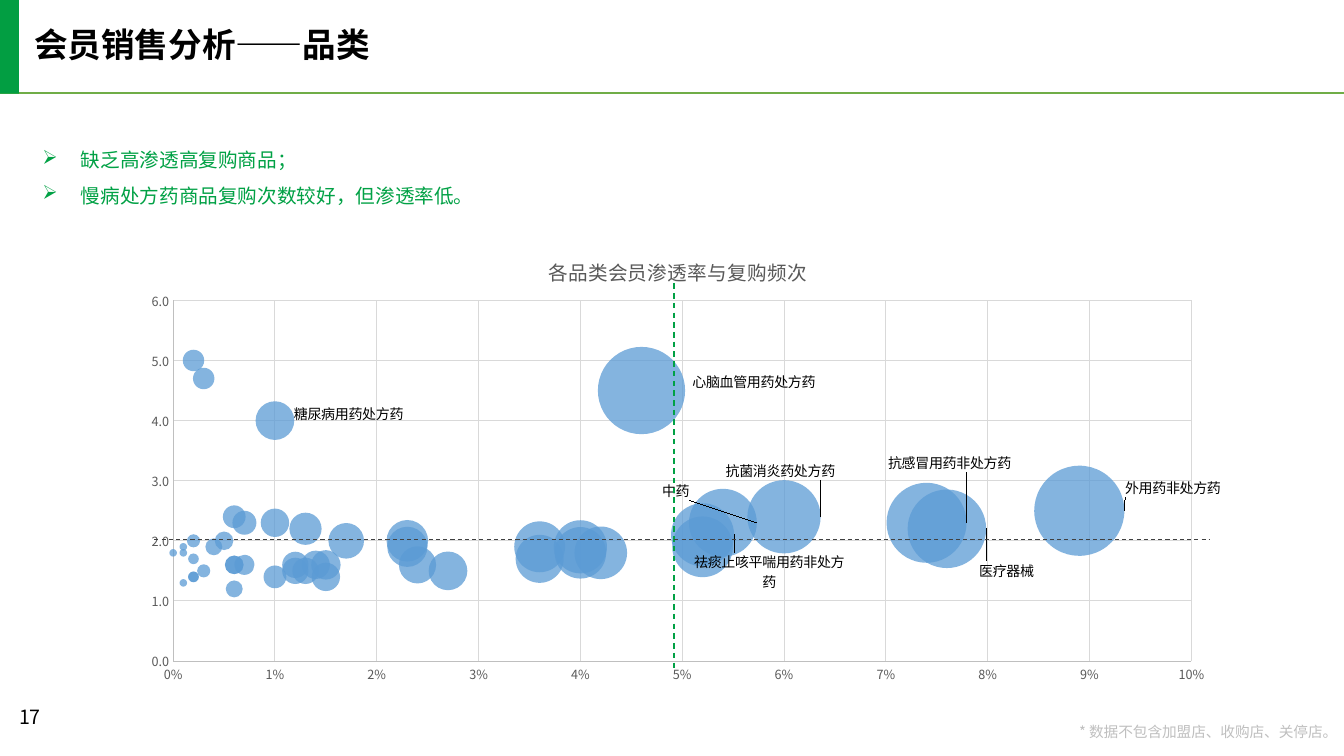
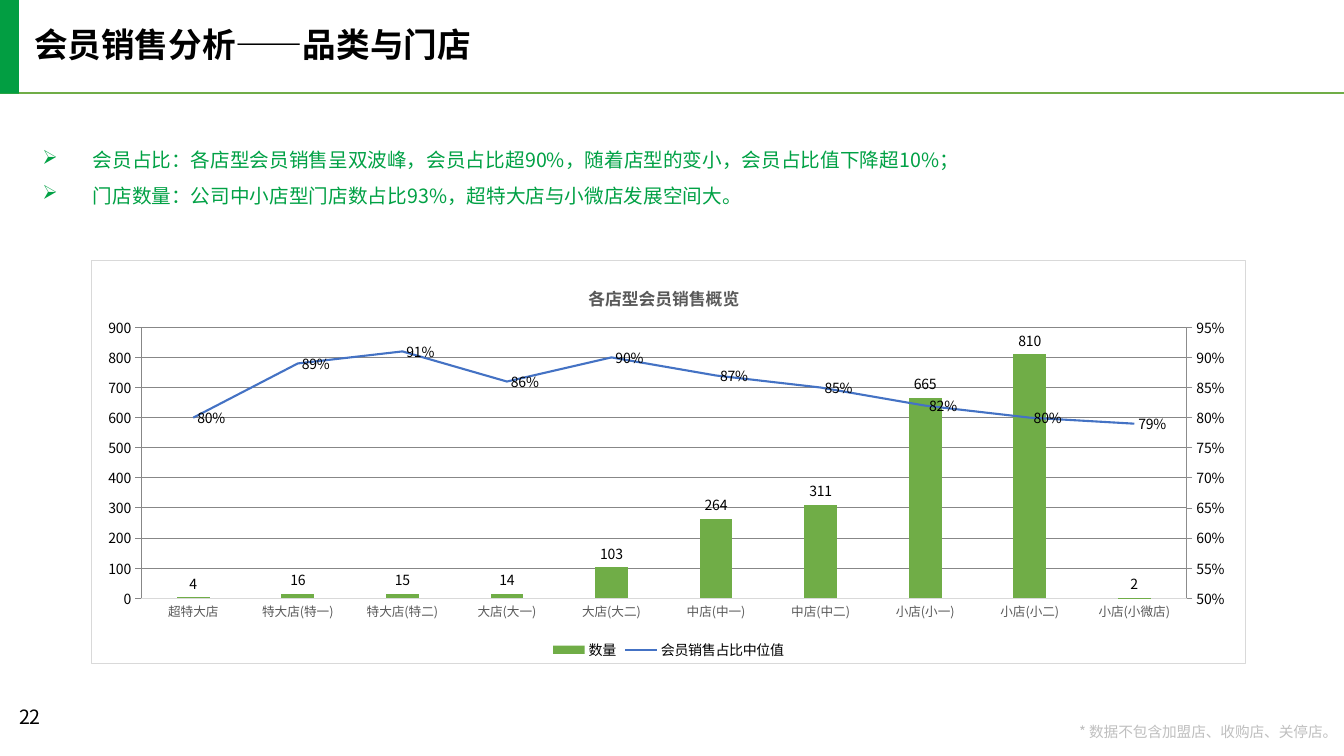
from pptx import Presentation
from pptx.chart.axis import ValueAxis
from pptx.chart.data import BubbleChartData, CategoryChartData
from pptx.chart.datalabel import DataLabels
from pptx.dml.color import RGBColor
from pptx.enum.chart import XL_CHART_TYPE as Kind, XL_LABEL_POSITION as Spot
from pptx.enum.chart import XL_LEGEND_POSITION as Side, XL_TICK_MARK as Tick
from pptx.enum.chart import XL_MARKER_STYLE as Marker
from pptx.enum.dml import MSO_LINE
from pptx.enum.shapes import MSO_CONNECTOR, MSO_SHAPE
from pptx.enum.text import MSO_ANCHOR as Anchor, PP_ALIGN as Align
from pptx.oxml import parse_xml
from pptx.oxml.ns import nsdecls, qn
from pptx.util import Cm, Pt

FACE = "Noto Sans CJK SC"
WIDE, HIGH = 33.87, 19.05
BLACK, GREY, PALE, AXIS = "000000", "595959", "BFBFBF", "D9D9D9"
GREEN, BAND, LEAF, BLUE, SKY = "01A145", "029E42", "70AD47", "4472C4", "5B9BD5"
NOTE = "* 数据不包含加盟店、收购店、关停店。"

# penetration (tenths of a percent), repeat purchases, sales (hundred thousands)
GOODS = [
    (12, 1.5, 12), (54, 2.3, 80), (15, 1.4, 14), (40, 1.8, 46), (42, 1.8, 48),
    (14, 1.6, 14), (6, 1.2, 5), (0, 1.1, 0), (6, 2.4, 9), (0, 1.5, 0),
    (76, 2.2, 107), (36, 1.7, 40), (89, 2.5, 141), (6, 1.6, 6), (15, 1.6, 15),
    (46, 4.5, 132), (0, 1.8, 1), (6, 1.6, 6), (74, 2.3, 111), (2, 1.7, 2),
    (10, 1.4, 9), (60, 2.4, 93), (0, 1.2, 0), (24, 1.6, 24), (7, 1.6, 7),
    (3, 1.5, 3), (10, 2.3, 14), (1, 1.3, 1), (3, 4.7, 8), (0, 1.2, 0),
    (27, 1.5, 26), (12, 1.6, 12), (52, 1.9, 64), (2, 2, 3), (0, 2.5, 0),
    (1, 1.8, 1), (2, 1.4, 2), (13, 2.2, 18), (52, 2.1, 69), (2, 5, 8),
    (0, 2.2, 0), (10, 4, 26), (0, 2.1, 0), (4, 1.9, 5), (36, 1.9, 45),
    (7, 2.3, 10), (1, 1.9, 1), (23, 2, 30), (40, 1.9, 49), (0, 1.3, 0),
    (2, 1.4, 2), (5, 2, 6), (23, 1.9, 28), (17, 2, 22), (13, 1.5, 12),
]
# point: label, shift as a share of the chart's width and height
TAGS = {
    1: ("中药", -0.09, -0.07),
    10: ("医疗器械", -0.01, 0.09),
    12: ("外用药非处方药", -0.003, -0.05),
    15: ("心脑血管用药处方药", 0.003, -0.02),
    18: ("抗感冒用药非处方药", -0.075, -0.13),
    21: ("抗菌消炎药处方药", -0.09, -0.1),
    38: ("祛痰止咳平喘用药非处方药", -0.04, 0.08),
    41: ("糖尿病用药处方药", -0.004, -0.015),
}
SHOPS = ["超特大店", "特大店(特一)", "特大店(特二)", "大店(大一)", "大店(大二)",
         "中店(中一)", "中店(中二)", "小店(小一)", "小店(小二)", "小店(小微店)"]
COUNT = [4, 16, 15, 14, 103, 264, 311, 665, 810, 2]
SHARE = [0.8, 0.89, 0.91, 0.86, 0.9, 0.87, 0.85, 0.82, 0.8, 0.79]


def rgb(code):
    return RGBColor.from_string(code)


def put(obj, **vals):
    for key, val in vals.items():
        setattr(obj, key, val)


def style(font, size, color=BLACK, bold=False):
    put(font, size=Pt(size), bold=bold, name=FACE)
    font.color.rgb = rgb(color)


def stroke(line, color, width):
    line.color.rgb = rgb(color)
    line.width = Pt(width)


def paint(fill, color):
    fill.solid()
    fill.fore_color.rgb = rgb(color)


def write(slide, box, lines, size, color=BLACK, bold=False, pad=0,
          anchor=Anchor.TOP, **para):
    frame = slide.shapes.add_textbox(*map(Cm, box)).text_frame
    put(frame, word_wrap=True, vertical_anchor=anchor)
    if not pad:
        put(frame, margin_left=0, margin_right=0, margin_top=0, margin_bottom=0)
    frame.text = "\n".join(lines)
    for par in frame.paragraphs:
        put(par, **para)
        style(par.runs[0].font, size, color, bold)
    return frame


def rule(slide, ends, color, width, dash=None):
    line = slide.shapes.add_connector(MSO_CONNECTOR.STRAIGHT, *map(Cm, ends))
    stroke(line.line, color, width)
    line.line.dash_style = dash
    line._element.spPr.append(parse_xml(f"<a:effectLst {nsdecls('a')}/>"))


def bullets(slide, box, lines, indent):
    frame = write(slide, box, lines, 14, GREEN, anchor=Anchor.MIDDLE,
                  line_spacing=1.5)
    for par in frame.paragraphs:
        props = par._p.get_or_add_pPr()
        props.set("marL", str(Cm(indent)))
        props.set("indent", str(-Cm(indent)))
        props.append(parse_xml(f'<a:buChar {nsdecls("a")} char="➢"/>'))


def base(deck, title, number, lines, indent):
    """Add a slide with the shared title band, footer and bullet list."""
    slide = deck.slides.add_slide(deck.slide_layouts[6])
    rule(slide, (0, 2.34, WIDE, 2.34), LEAF, 1.5)
    write(slide, (0.86, 0.71, 15.98, 0.91), [title], 24, bold=True,
          line_spacing=0.9)
    band = slide.shapes.add_shape(MSO_SHAPE.RECTANGLE, *map(Cm, (0, 0, 0.48, 2.36)))
    band.shadow.inherit = False
    paint(band.fill, BAND)
    band.line.fill.background()
    note = write(slide, (27.08, 18.26, 6.63, 0.41), [NOTE], 10.5, PALE,
                 line_spacing=0.9, alignment=Align.RIGHT)
    note.word_wrap = False
    write(slide, (0.23, 17.65, 2.31, 1.02), [number], 14, pad=1)
    bullets(slide, (1.07, 3.43, 31.67, 1.8), lines, indent)
    return slide


def layout(x, y, w=None, h=None, inner=False, edge=True):
    """Build a manual layout, in shares of the chart's size."""
    items = [("layoutTarget", "inner")] if inner else []
    items += [("xMode", "edge"), ("yMode", "edge")] if edge else []
    items += [("x", x), ("y", y)]
    items += [("w", w), ("h", h)] if w else []
    body = "".join(f'<c:{key} val="{val}"/>' for key, val in items)
    return parse_xml(f"<c:layout {nsdecls('c')}><c:manualLayout>{body}"
                     "</c:manualLayout></c:layout>")


def swap(parent, item, index):
    for old in parent.findall(qn("c:layout")):
        parent.remove(old)
    parent.insert(index, item)


def plot(slide, box, kind, data, title, size, bold, head, area):
    """Add a chart with its title at head and its plot filling area."""
    chart = slide.shapes.add_chart(kind, *map(Cm, box), data).chart
    style(chart.font, 10)
    put(chart, has_legend=False, has_title=True)
    text = chart.chart_title.text_frame
    text.text = title
    style(text.paragraphs[0].runs[0].font, size, GREY, bold)
    swap(chart.chart_title._element, layout(*head), 1)
    swap(chart.element.find(".//" + qn("c:plotArea")),
         layout(*area, inner=True), 0)
    return chart


def scale(axis, line=None, grid=True, size=9, color=GREY, tick=Tick.NONE,
          width=0.75, form=None, **span):
    put(axis, major_tick_mark=tick, minor_tick_mark=Tick.NONE,
        has_major_gridlines=grid, **span)
    style(axis.tick_labels.font, size, color)
    if form:
        put(axis.tick_labels, number_format=form, number_format_is_linked=False)
    if grid:
        stroke(axis.major_gridlines.format.line, AXIS, 0.75)
    if line:
        stroke(axis.format.line, line, width)
    else:
        axis.format.line.fill.background()


def tag(series):
    """Label chosen bubbles, with leader lines."""
    for spot, (name, dx, dy) in TAGS.items():
        label = series.points[spot].data_label
        label.text_frame.text = name
        style(label.text_frame.paragraphs[0].runs[0].font, 10)
        label.position = Spot.RIGHT
        swap(label._get_or_add_dLbl(), layout(dx, dy, edge=False), 1)
    group = series._element.get_or_add_dLbls()
    DataLabels(group).show_value = False
    group.append(parse_xml(
        f'<c:extLst {nsdecls("c")}>'
        '<c:ext uri="{CE6537A1-D6FC-4f65-9D91-7224C49458BB}" '
        'xmlns:c15="http://schemas.microsoft.com/office/drawing/2012/chart">'
        '<c15:showLeaderLines val="1"/></c:ext></c:extLst>'))


def bubbles(slide, box):
    data = BubbleChartData()
    goods = data.add_series("品类")
    for rate, freq, sales in GOODS:
        goods.add_data_point(rate / 1000, freq, sales * 100000)
    chart = plot(slide, box, Kind.BUBBLE, data, "各品类会员渗透率与复购频次",
                 14, False, (0.38, 0.05), (0.042, 0.156, 0.926, 0.775))
    scale(chart.category_axis, PALE, form="0%", minimum_scale=0,
          maximum_scale=0.1, major_unit=0.01)
    scale(chart.value_axis, PALE, form="0.0", minimum_scale=0,
          maximum_scale=6, major_unit=1)
    series = chart.plots[0].series[0]
    paint(series.format.fill, SKY)
    tint = series._element.find(".//" + qn("a:srgbClr"))
    tint.append(parse_xml(f'<a:alpha {nsdecls("a")} val="75000"/>'))
    series.format.line.fill.background()
    tag(series)
    x, y = box[:2]
    rule(slide, (x + 13.79, y + 1.4, x + 13.79, y + 11.1), GREEN, 1, MSO_LINE.DASH)
    rule(slide, (x + 0.69, y + 7.85, x + 27.28, y + 7.85), "404040", 0.75,
         MSO_LINE.DASH)


def split(chart):
    """Move the second series to a line on a right-hand axis, and return the axis."""
    bars = chart.element.find(".//" + qn("c:barChart"))
    series = bars.findall(qn("c:ser"))[1]
    for flip in series.findall(qn("c:invertIfNegative")):
        series.remove(flip)
    line = parse_xml(
        f'<c:lineChart {nsdecls("c")}><c:grouping val="standard"/>'
        '<c:varyColors val="0"/><c:marker val="1"/>'
        '<c:axId val="501"/><c:axId val="502"/></c:lineChart>')
    line.insert(2, series)
    bars.addnext(line)

    def axis(kind, own, other, gone, side, cross):
        return parse_xml(
            f'<c:{kind} {nsdecls("c")}><c:axId val="{own}"/><c:scaling>'
            f'<c:orientation val="minMax"/></c:scaling><c:delete val="{gone}"/>'
            f'<c:axPos val="{side}"/><c:tickLblPos val="nextTo"/>'
            f'<c:crossAx val="{other}"/><c:crosses val="{cross}"/></c:{kind}>')

    right = axis("valAx", 502, 501, 0, "r", "max")
    area = bars.getparent()
    area.findall(qn("c:valAx"))[-1].addnext(right)
    right.addnext(axis("catAx", 501, 502, 1, "b", "autoZero"))
    return ValueAxis(right)


def mark(series, form, spot):
    labels = series.data_labels
    put(labels, show_value=True, number_format=form,
        number_format_is_linked=False, position=spot)
    style(labels.font, 10)


def combo(slide, box):
    data = CategoryChartData()
    data.categories = SHOPS
    data.add_series("数量", COUNT)
    data.add_series("会员销售占比中位值", SHARE, "0%")
    chart = plot(slide, box, Kind.COLUMN_CLUSTERED, data, "各店型会员销售概览",
                 12, True, (0.428, 0.05), (0.043, 0.166, 0.906, 0.672))
    right = split(chart)
    scale(chart.category_axis, AXIS, grid=False)
    scale(chart.value_axis, form="0", minimum_scale=0, maximum_scale=900,
          major_unit=100)
    scale(right, "8C8C8C", False, 10, BLACK, Tick.OUTSIDE, 0.5, "0%",
          minimum_scale=0.5, maximum_scale=0.95, major_unit=0.05)
    bars, line = chart.plots
    put(bars, gap_width=219, overlap=0, vary_by_categories=False)
    paint(bars.series[0].format.fill, LEAF)
    mark(bars.series[0], "0", Spot.OUTSIDE_END)
    trend = line.series[0]
    trend.smooth = False
    stroke(trend.format.line, BLUE, 1.5)
    trend.marker.style = Marker.NONE
    mark(trend, "0%", Spot.RIGHT)
    chart.has_legend = True
    put(chart.legend, position=Side.BOTTOM, include_in_layout=False)
    style(chart.legend.font, 10)
    chart.element.find(qn("c:chart")).addnext(parse_xml(
        f'<c:spPr {nsdecls("c", "a")}><a:solidFill><a:srgbClr val="FFFFFF"/>'
        f'</a:solidFill><a:ln w="{Pt(0.75)}"><a:solidFill>'
        f'<a:srgbClr val="{AXIS}"/></a:solidFill></a:ln></c:spPr>'))


def main():
    deck = Presentation()
    put(deck, slide_width=Cm(WIDE), slide_height=Cm(HIGH))
    goods = base(deck, "会员销售分析——品类", "17",
                 ["缺乏高渗透高复购商品；",
                  "慢病处方药商品复购次数较好，但渗透率低。"], 0.97)
    bubbles(goods, (3.2, 5.74, 27.71, 11.73))
    shops = base(deck, "会员销售分析——品类与门店", "22",
                 ["会员占比：各店型会员销售呈双波峰，会员占比超90%，"
                  "随着店型的变小，会员占比值下降超10%；",
                  "门店数量：公司中小店型门店数占比93%，"
                  "超特大店与小微店发展空间大。"], 1.27)
    combo(shops, (2.29, 6.55, 29.11, 10.19))
    deck.save("out.pptx")


if __name__ == "__main__":
    main()
